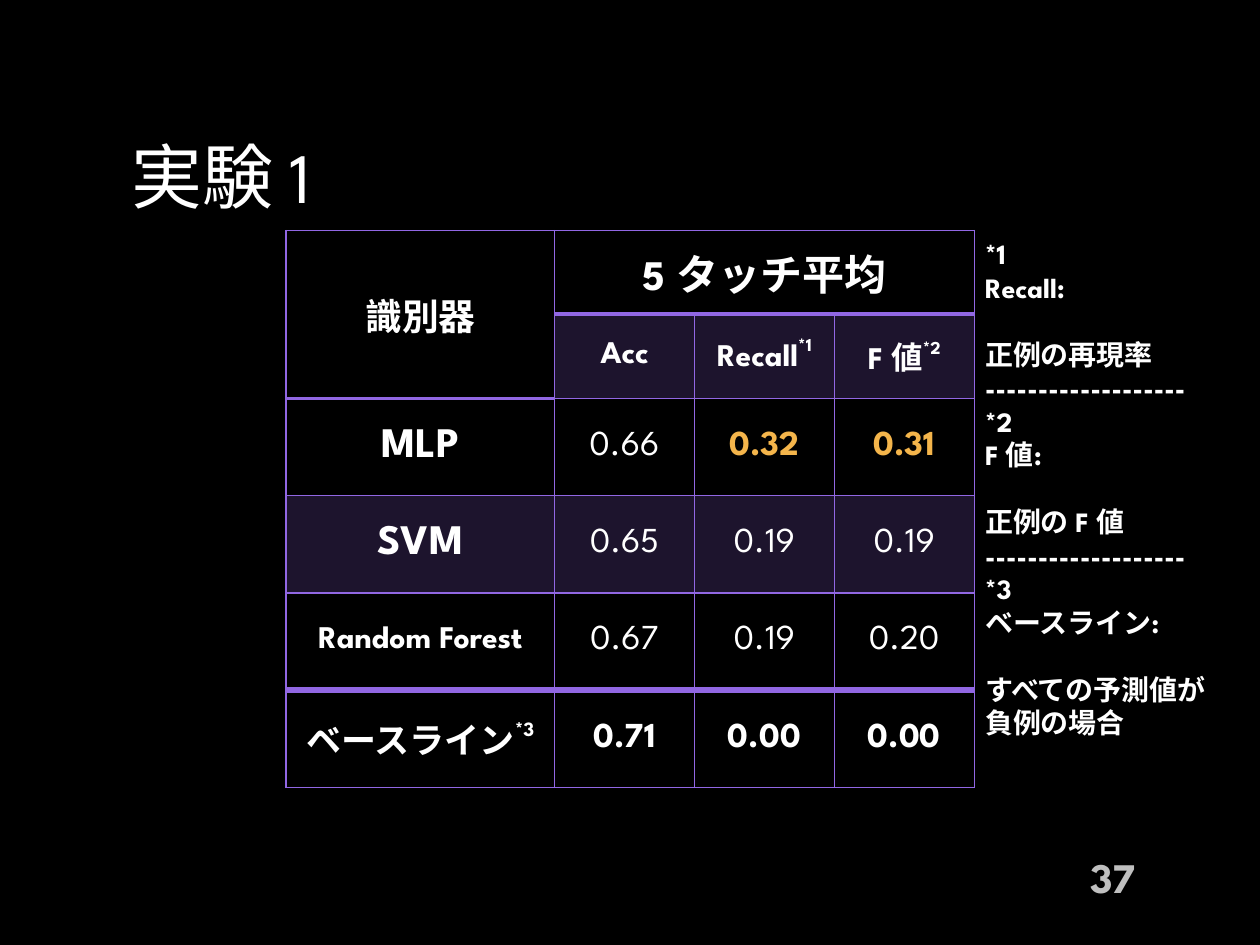
import lxml.etree
import pptx
import pptx.dml.color
import pptx.enum.text
import pptx.oxml.ns
import pptx.util

Cm = pptx.util.Cm
ALIGN = pptx.enum.text.PP_ALIGN
MIDDLE = pptx.enum.text.MSO_ANCHOR.MIDDLE

THEME = {
    "font": "League Spartan",
    "background": "000000", "text": "FFFFFF", "accent": "9167E3",
    "highlight": "F4B54B", "muted": "BFBFBF",
    "title": 40.5, "large": 24, "corner": 21, "value": 20, "label": 18, "note": 16,
    "tint": 20,
}

TITLE = "実験 1"
PAGE_NUMBER = "37"
CORNER = "識別器"
GROUP = "5 タッチ平均"
METRICS = [("Acc", ""), ("Recall", "*1"), ("F 値", "*2")]
# name, footnote mark, name size, values, bold values, highlighted values
RESULTS = [
    ("MLP", "", "large", ("0.66", "0.32", "0.31"), (1, 2), (1, 2)),
    ("SVM", "", "large", ("0.65", "0.19", "0.19"), (), ()),
    ("Random Forest", "", "label", ("0.67", "0.19", "0.20"), (), ()),
    ("ベースライン", "*3", "value", ("0.71", "0.00", "0.00"), (0, 1, 2), ()),
]
RULE = "-" * 19
NOTES = [
    ("*1", "Recall:", ["正例の再現率", RULE]),
    ("*2", "F 値:", ["正例の F 値", RULE]),
    ("*3", "ベースライン:", ["すべての予測値が", "負例の場合"]),
]

COLUMN_WIDTHS = [5.41, 2.82, 2.82, 2.82]
ROW_HEIGHTS = [1.68, 1.7] + [1.96] * 4
TABLE_LEFT, TABLE_TOP = 5.77, 4.65
SHADED_ROWS = (1, 3)


def color(name):
    return pptx.dml.color.RGBColor.from_string(THEME[name])


def write(paragraph, text, size="value", ink="text", bold=True, align=ALIGN.LEFT,
          mark="", space_before=0):
    """Fill a paragraph with text and an optional superscript mark."""
    paragraph.alignment = align
    paragraph.space_before = pptx.util.Pt(space_before)
    for content, raised in ((text, False), (mark, True)):
        if not content:
            continue
        run = paragraph.add_run()
        run.text = content
        run.font.name = THEME["font"]
        run.font.size = pptx.util.Pt(THEME[size])
        run.font.bold = bold
        run.font.color.rgb = color(ink)
        if raised:
            run._r.get_or_add_rPr().set("baseline", "50000")


def add_text_box(slide, left, top, width, height):
    frame = slide.shapes.add_textbox(Cm(left), Cm(top), Cm(width), Cm(height)).text_frame
    frame.word_wrap = True
    return frame


def add_child(parent, tag, **attributes):
    return lxml.etree.SubElement(parent, pptx.oxml.ns.qn(tag), attributes)


def edge_width(edge, column):
    """Width in points of the horizontal line above row number `edge`."""
    if edge == 1 or (edge == 2 and column == 0):
        return 2
    return 4 if edge == len(ROW_HEIGHTS) - 1 else 1


def style_cell(cell, row, column):
    cell.vertical_anchor = MIDDLE
    properties = cell._tc.get_or_add_tcPr()
    widths = {"a:lnL": 1, "a:lnR": 1, "a:lnT": edge_width(row, column),
              "a:lnB": edge_width(row + 1, column)}
    for tag, width in widths.items():
        line = add_child(properties, tag, w=str(pptx.util.Pt(width)))
        add_child(add_child(line, "a:solidFill"), "a:srgbClr", val=THEME["accent"])
    if row in SHADED_ROWS and not (row == 1 and column == 0):
        cell.fill.solid()
        cell.fill.fore_color.rgb = color("accent")
        fill_color = properties.find(pptx.oxml.ns.qn("a:solidFill"))[0]
        add_child(fill_color, "a:alpha", val=str(THEME["tint"] * 1000))
    else:
        cell.fill.background()


def add_results_table(slide):
    table = slide.shapes.add_table(
        len(ROW_HEIGHTS), len(COLUMN_WIDTHS), Cm(TABLE_LEFT), Cm(TABLE_TOP),
        Cm(sum(COLUMN_WIDTHS)), Cm(sum(ROW_HEIGHTS))).table
    table.first_row = table.horz_banding = False
    for column, width in zip(table.columns, COLUMN_WIDTHS):
        column.width = Cm(width)
    for row, height in zip(table.rows, ROW_HEIGHTS):
        row.height = Cm(height)
    for row in range(len(ROW_HEIGHTS)):
        for column in range(len(COLUMN_WIDTHS)):
            style_cell(table.cell(row, column), row, column)
    table.cell(0, 0).merge(table.cell(1, 0))
    table.cell(0, 1).merge(table.cell(0, 3))

    def put(row, column, text, **style):
        write(table.cell(row, column).text_frame.paragraphs[0], text,
              align=ALIGN.CENTER, **style)

    put(0, 0, CORNER, size="corner")
    put(0, 1, GROUP, size="large")
    for column, (metric, mark) in enumerate(METRICS, start=1):
        put(1, column, metric, mark=mark, size="label")
    for row, (name, mark, size, values, strong, best) in enumerate(RESULTS, start=2):
        put(row, 0, name, mark=mark, size=size)
        for index, value in enumerate(values):
            put(row, index + 1, value, bold=index in strong,
                ink="highlight" if index in best else "text")


def add_notes(slide):
    frame = add_text_box(slide, 19.61, 4.65, 5.11, 11.1)
    lines = []
    for mark, term, meaning in NOTES:
        lines += [(mark, 0), (term, 0), (meaning[0], 19)]
        lines += [(text, 0) for text in meaning[1:]]
    for index, (text, gap) in enumerate(lines):
        paragraph = frame.add_paragraph() if index else frame.paragraphs[0]
        write(paragraph, text, size="note", space_before=gap)


def main():
    presentation = pptx.Presentation()
    presentation.slide_width, presentation.slide_height = Cm(25.4), Cm(19.05)
    slide = presentation.slides.add_slide(presentation.slide_layouts[5])
    slide.background.fill.solid()
    slide.background.fill.fore_color.rgb = color("background")

    title = slide.shapes.title
    title.left, title.top, title.width, title.height = Cm(2.39), Cm(2.39), Cm(20.62), Cm(2.29)
    title.text_frame.vertical_anchor = MIDDLE
    title.text_frame.auto_size = pptx.enum.text.MSO_AUTO_SIZE.NONE
    write(title.text_frame.paragraphs[0], TITLE, size="title", bold=False)

    number = add_text_box(slide, 19.84, 17.17, 3.3, 1.02)
    number.vertical_anchor = MIDDLE
    write(number.paragraphs[0], PAGE_NUMBER, size="large", ink="muted", align=ALIGN.RIGHT)

    add_results_table(slide)
    add_notes(slide)
    presentation.save("out.pptx")


if __name__ == "__main__":
    main()
